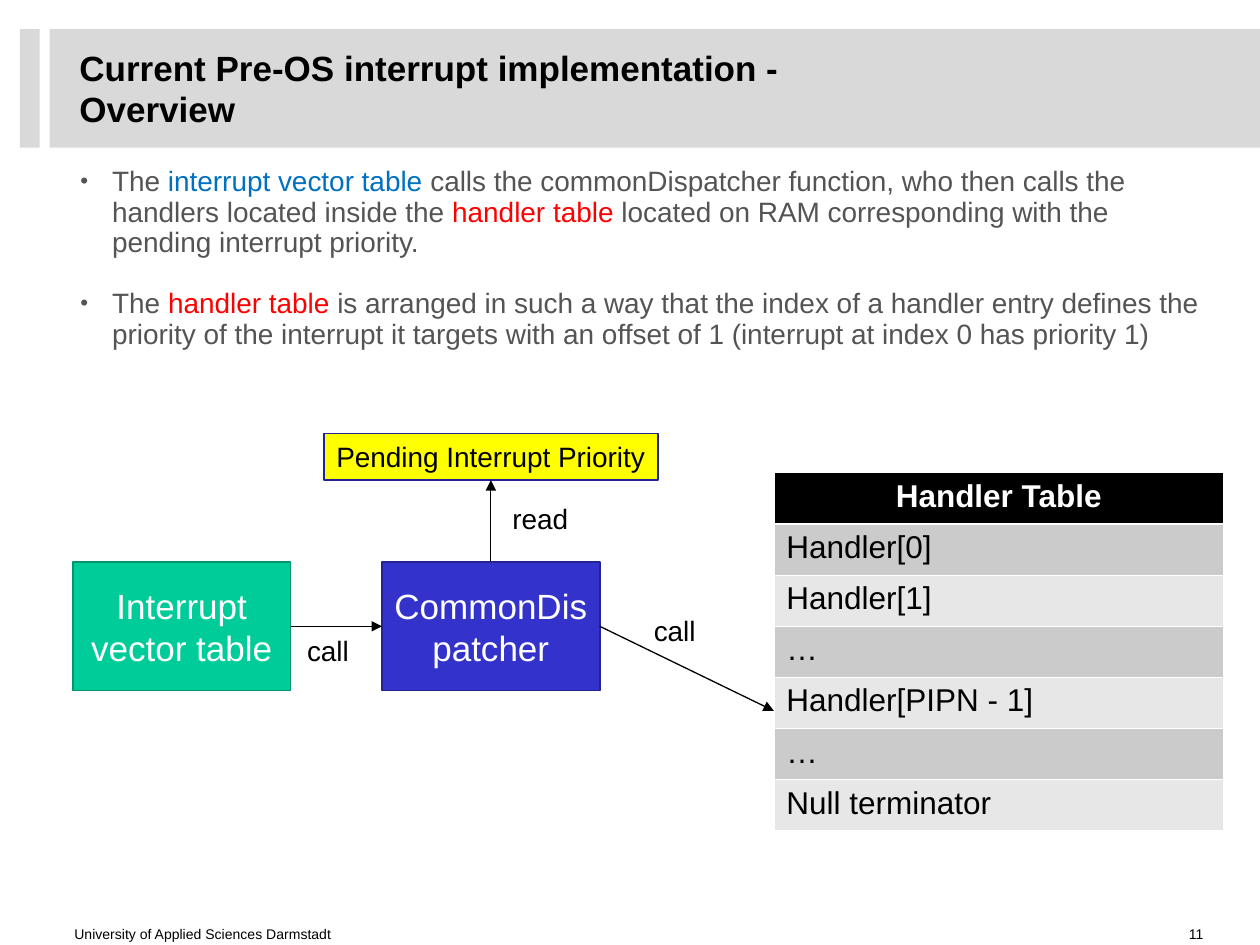
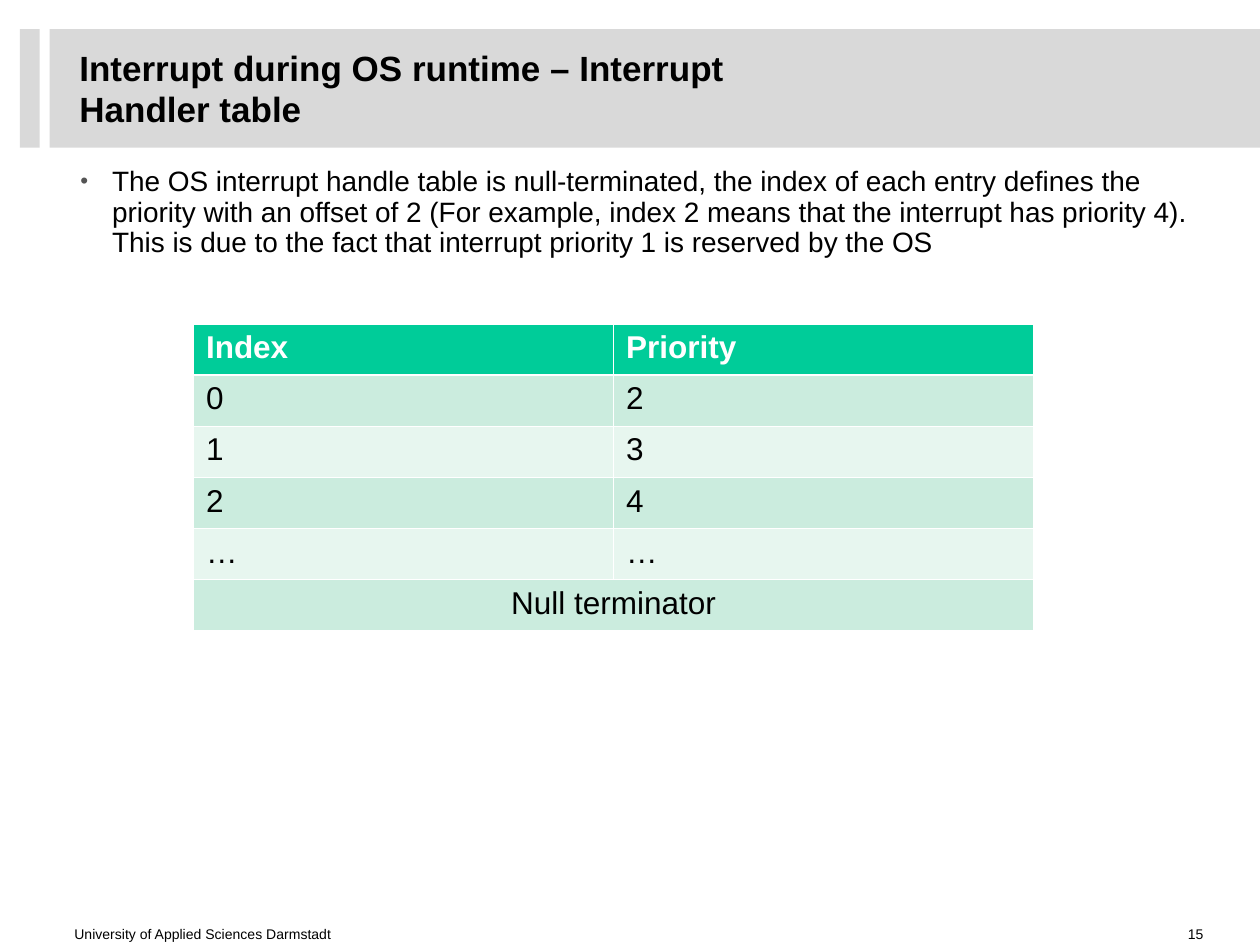
from lxml.etree import SubElement
from pptx import Presentation
from pptx.dml.color import RGBColor
from pptx.enum.shapes import MSO_CONNECTOR, MSO_SHAPE
from pptx.enum.text import MSO_ANCHOR as ANCHOR, MSO_AUTO_SIZE as FIT, PP_ALIGN as ALIGN
from pptx.oxml.ns import qn
from pptx.util import Cm, Pt

BLACK = RGBColor(0x00, 0x00, 0x00)
WHITE = RGBColor(0xFF, 0xFF, 0xFF)
BAND = RGBColor(0xD9, 0xD9, 0xD9)
GREY = RGBColor(0x54, 0x54, 0x54)
BLUE = RGBColor(0x00, 0x70, 0xC0)
RED = RGBColor(0xFF, 0x00, 0x00)
YELLOW = RGBColor(0xFF, 0xFF, 0x00)
GREEN = RGBColor(0x00, 0xCC, 0x99)
GREEN_EDGE = RGBColor(0x00, 0x95, 0x6F)
INDIGO = RGBColor(0x33, 0x33, 0xCC)
INDIGO_EDGE = RGBColor(0x23, 0x23, 0x95)
GREY_ROWS = RGBColor(0xCB, 0xCB, 0xCB), RGBColor(0xE7, 0xE7, 0xE7)
GREEN_ROWS = RGBColor(0xCB, 0xEC, 0xDE), RGBColor(0xE7, 0xF6, 0xEF)

UNIVERSITY = "University of Applied Sciences Darmstadt"
OVERVIEW = {
    "title": "Current Pre-OS interrupt implementation - Overview",
    "number": "11",
    "body_height": 3.96,
    "bullets": [
        [("The", GREY), (" interrupt vector table ", BLUE),
         ("calls the commonDispatcher function, who then calls the handlers "
          "located inside the ", GREY),
         ("handler table ", RED),
         ("located on RAM corresponding with the pending interrupt priority.", GREY)],
        [("The ", GREY), ("handler table ", RED),
         ("is arranged in such a way that the index of a handler entry defines the "
          "priority of the interrupt it targets with an offset of 1 "
          "(interrupt at index 0 has priority 1)", GREY)],
    ],
}
RUNTIME = {
    "title": "Interrupt during OS runtime – Interrupt Handler table",
    "number": "15",
    "body_height": 14.35,
    "bullets": [
        [("The OS interrupt handle table is null-terminated, the index of each entry "
          "defines the priority with an offset of 2 (For example, index 2 means that "
          "the interrupt has priority 4). This is due to the fact that interrupt "
          "priority 1 is reserved by the OS", BLACK)],
    ],
}
HANDLERS = [["Handler Table"], ["Handler[0]"], ["Handler[1]"], ["…"],
            ["Handler[PIPN - 1]"], ["…"], ["Null terminator"]]
PRIORITIES = [["Index", "Priority"], ["0", "2"], ["1", "3"], ["2", "4"],
              ["…", "…"], ["Null terminator", ""]]
LABELS = [("call", 5.94, 12.65, 1.35), ("call", 12.93, 12.24, 1.35),
          ("read", 10.08, 9.98, 1.63)]

BANDS = [(1, 24.4), (0.4, 0.4)]
ROW_HEIGHT = 1.03
STEP_TOP, STEP_WIDTH, STEP_HEIGHT = 11.33, 4.39, 2.59
HANDLERS_LEFT, HANDLERS_TOP = 15.6, 9.53
PENDING_ENTRY_Y = 14.33

TITLE_FORMAT = {"size": Pt(20), "bold": True}
BODY_FORMAT = {"size": Pt(16)}
STEP_FORMAT = {"size": Pt(20)}
FOOTER_FORMAT = {"size": Pt(8)}
CELL_FORMAT = {"size": Pt(18), "bold": False}
HEAD_FORMAT = {"size": Pt(18), "bold": True}
FLUSH = {"margin_left": 0, "margin_right": 0, "margin_top": 0, "margin_bottom": 0,
         "auto_size": FIT.NONE, "word_wrap": True}
TIGHT = {"word_wrap": False, "auto_size": FIT.SHAPE_TO_FIT_TEXT,
         "vertical_anchor": ANCHOR.TOP}


def apply(target, values):
    for key, value in values.items():
        setattr(target, key, value)


def box(left, top, width, height):
    return Cm(left), Cm(top), Cm(width), Cm(height)


def place(part, *bounds):
    apply(part, dict(zip(("left", "top", "width", "height"), box(*bounds))))


def write(paragraph, runs, font, align=ALIGN.LEFT):
    paragraph.alignment = align
    for text, color in runs:
        run = paragraph.add_run()
        run.text = text
        apply(run.font, {"name": "Arial", **font})
        run.font.color.rgb = color


def add_bullet(paragraph):
    props = paragraph._p.get_or_add_pPr()
    apply_indent = {"marL": Cm(0.76), "indent": -Cm(0.64)}
    for key, value in apply_indent.items():
        props.set(key, str(value))
    SubElement(SubElement(props, qn("a:buClr")), qn("a:srgbClr"), val=str(GREY))
    SubElement(props, qn("a:buSzPct"), val="80000")
    SubElement(props, qn("a:buFont"), typeface="Arial")
    SubElement(props, qn("a:buChar"), char="•")


def add_rect(slide, bounds, fill, edge=None):
    rect = slide.shapes.add_shape(MSO_SHAPE.RECTANGLE, *box(*bounds))
    rect.shadow.inherit = False
    rect.fill.solid()
    rect.fill.fore_color.rgb = fill
    if edge is None:
        rect.line.fill.background()
    else:
        rect.line.color.rgb = edge
        rect.line.width = Pt(1)
    return rect


def add_step(slide, text, left, fill, edge):
    step = add_rect(slide, (left, STEP_TOP, STEP_WIDTH, STEP_HEIGHT), fill, edge)
    step.text_frame.vertical_anchor = ANCHOR.MIDDLE
    write(step.text_frame.paragraphs[0], [(text, WHITE)], STEP_FORMAT, ALIGN.CENTER)
    return step


def add_label(slide, text, left, top, width):
    label = slide.shapes.add_textbox(*box(left, top, width, 0.94)).text_frame
    apply(label, TIGHT)
    write(label.paragraphs[0], [(text, BLACK)], BODY_FORMAT)


def add_arrow(slide, source, side, target=None, target_side=None, point=(0, 0)):
    arrow = slide.shapes.add_connector(
        MSO_CONNECTOR.STRAIGHT, 0, 0, Cm(point[0]), Cm(point[1]))
    arrow.begin_connect(source, side)
    if target is not None:
        arrow.end_connect(target, target_side)
    arrow.line.color.rgb = BLACK
    arrow.line.width = Pt(0.75)
    props = arrow.element.spPr
    SubElement(props.find(qn("a:ln")), qn("a:tailEnd"), type="triangle")
    SubElement(props, qn("a:effectLst"))


def add_border(cell, side, width):
    edge = SubElement(cell._tc.get_or_add_tcPr(), qn(f"a:ln{side}"), w=str(Pt(width)))
    SubElement(SubElement(edge, qn("a:solidFill")), qn("a:srgbClr"), val=str(WHITE))


def add_grid(slide, rows, left, top, width, head_fill, row_fills, centred):
    columns = len(rows[0])
    grid = slide.shapes.add_table(
        len(rows), columns, *box(left, top, width, ROW_HEIGHT * len(rows))).table
    for column in grid.columns:
        column.width = Cm(width / columns)
    for r, texts in enumerate(rows):
        head = r == 0
        for c, text in enumerate(texts):
            cell = grid.cell(r, c)
            for side in "LRTB":
                thick = (side, r) in (("B", 0), ("T", 1))
                add_border(cell, side, 1.47 if thick else 0.45)
            cell.fill.solid()
            cell.fill.fore_color.rgb = head_fill if head else row_fills[(r - 1) % 2]
            if text:
                write(cell.text_frame.paragraphs[0], [(text, WHITE if head else BLACK)],
                      HEAD_FORMAT if head else CELL_FORMAT,
                      ALIGN.CENTER if r == centred else ALIGN.LEFT)
    return grid


def add_footer(slide, text, bounds, margin_left, align):
    footer = slide.shapes.add_textbox(*box(*bounds)).text_frame
    apply(footer, {**FLUSH, "margin_left": Cm(margin_left), "margin_right": Cm(0.25),
                   "vertical_anchor": ANCHOR.BOTTOM})
    write(footer.paragraphs[0], [(text, BLACK)], FOOTER_FORMAT, align)


def add_page(deck, layout, content):
    slide = deck.slides.add_slide(layout)
    title, body = slide.placeholders
    place(title, 1.6, 0.79, 15.01, 1.98)
    apply(title.text_frame, {**FLUSH, "vertical_anchor": ANCHOR.MIDDLE})
    heading = title.text_frame.paragraphs[0]
    heading.line_spacing = Pt(23.4)
    write(heading, [(content["title"], BLACK)], TITLE_FORMAT)

    place(body, 1.5, 3.38, 22.81, content["body_height"])
    apply(body.text_frame, {**FLUSH, "vertical_anchor": ANCHOR.TOP})
    for i, runs in enumerate(content["bullets"]):
        item = body.text_frame.add_paragraph() if i else body.text_frame.paragraphs[0]
        add_bullet(item)
        apply(item, {"line_spacing": 0.9, "space_before": Pt(18 if i else 0)})
        write(item, runs, BODY_FORMAT)

    add_footer(slide, UNIVERSITY, (1.5, 18.47, 18.49, 0.53), 0, ALIGN.LEFT)
    add_footer(slide, content["number"], (23.16, 18.49, 1.35, 0.51), 0.25, ALIGN.RIGHT)
    return slide


def add_dispatch_diagram(slide):
    vector_table = add_step(slide, "Interrupt vector table", 1.47, GREEN, GREEN_EDGE)
    dispatcher = add_step(slide, "CommonDispatcher", 7.7, INDIGO, INDIGO_EDGE)
    pending = add_rect(slide, (6.53, 8.74, 6.73, 0.94), YELLOW, INDIGO_EDGE)
    apply(pending.text_frame, TIGHT)
    write(pending.text_frame.paragraphs[0],
          [("Pending Interrupt Priority", BLACK)], BODY_FORMAT)
    add_grid(slide, HANDLERS, HANDLERS_LEFT, HANDLERS_TOP, 9.07, BLACK, GREY_ROWS, 0)
    add_arrow(slide, vector_table, 3, dispatcher, 1)
    add_arrow(slide, dispatcher, 0, pending, 2)
    add_arrow(slide, dispatcher, 3, point=(HANDLERS_LEFT, PENDING_ENTRY_Y))
    for label in LABELS:
        add_label(slide, *label)


def main():
    deck = Presentation()
    deck.slide_width, deck.slide_height = Cm(25.4), Cm(19.05)
    layout = deck.slide_layouts[1]

    overview = add_page(deck, layout, OVERVIEW)
    for left, width in BANDS:
        band = add_rect(overview, (left, 0.59, width, 2.39), BAND)
        layout.shapes.element.insert(2, band.element)
    add_dispatch_diagram(overview)

    runtime = add_page(deck, layout, RUNTIME)
    priorities = add_grid(runtime, PRIORITIES, 3.9, 6.53, 16.94, GREEN, GREEN_ROWS,
                          len(PRIORITIES) - 1)
    last = len(PRIORITIES) - 1
    priorities.cell(last, 0).merge(priorities.cell(last, 1))
    deck.save("out.pptx")


if __name__ == "__main__":
    main()
